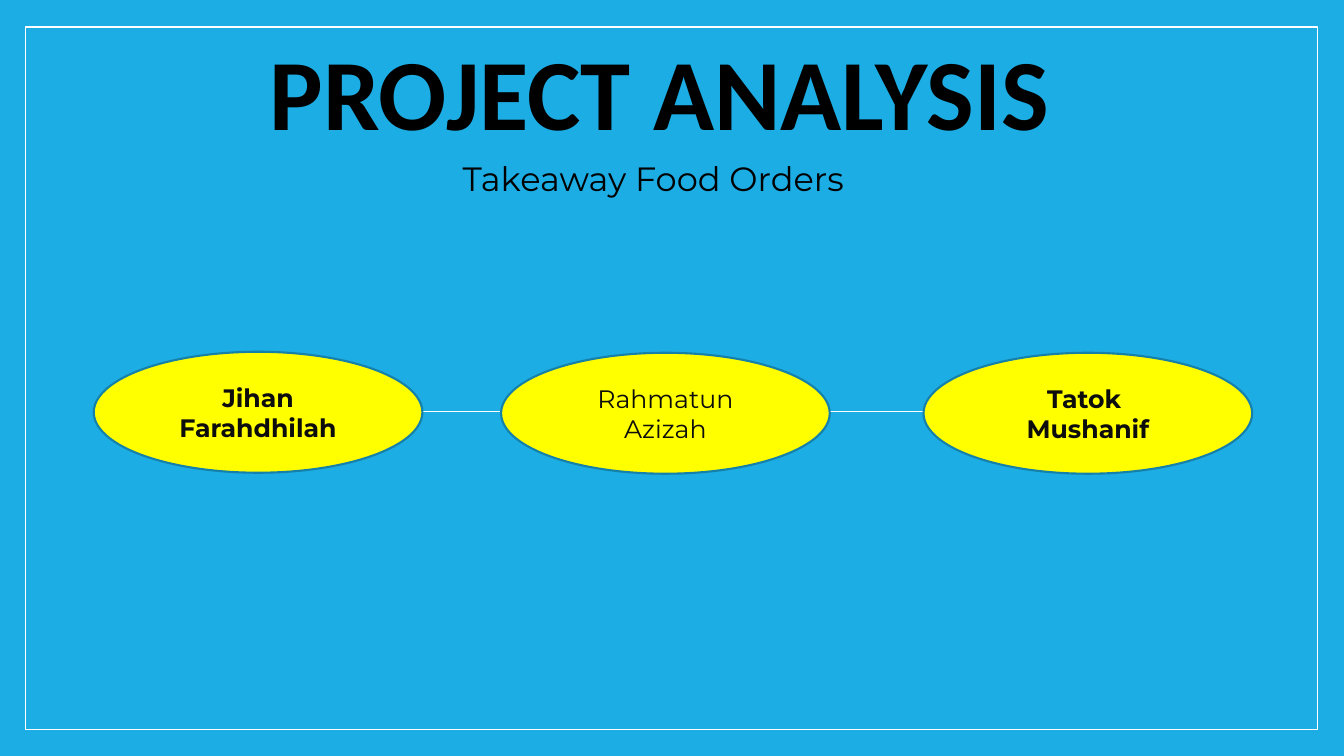
import dataclasses

import pptx
import pptx.dml.color
import pptx.enum.shapes
import pptx.enum.text
import pptx.oxml.ns
import pptx.util
from lxml import etree

Inches = pptx.util.Inches
Pt = pptx.util.Pt
RGB = pptx.dml.color.RGBColor
Kind = pptx.enum.shapes.MSO_SHAPE
Align = pptx.enum.text.PP_ALIGN
Anchor = pptx.enum.text.MSO_ANCHOR

BLUE = RGB(0x1C, 0xAD, 0xE4)
RIM = RGB(0x15, 0x80, 0xA9)
YELLOW = RGB(0xFF, 0xFF, 0x00)
WHITE = RGB(0xFF, 0xFF, 0xFF)
BLACK = RGB(0x00, 0x00, 0x00)
INK = RGB(0x0D, 0x0D, 0x0D)


@dataclasses.dataclass
class Style:
    font: dict
    para: dict
    frame: dict
    color: RGB


@dataclasses.dataclass
class Member:
    left: float
    top: float
    lines: list[str]
    bold: bool = True


@dataclasses.dataclass
class Label:
    box: tuple[float, float, float, float]
    text: str
    style: Style


TITLE = Style({"name": "Calibri", "size": Pt(72), "bold": True},
              {"alignment": Align.CENTER, "line_spacing": 0.85},
              {"word_wrap": True, "vertical_anchor": Anchor.BOTTOM}, BLACK)
TOPIC = Style({"name": "Montserrat", "size": Pt(24)},
              {"alignment": Align.LEFT},
              {"word_wrap": True, "vertical_anchor": Anchor.TOP}, BLACK)
NAME = Style({"name": "Montserrat", "size": Pt(18)},
             {"alignment": Align.CENTER},
             {"word_wrap": True, "vertical_anchor": Anchor.MIDDLE}, INK)

LABELS = [
    Label((0.66, 0.19, 11.76, 1.36), "PROJECT ANALYSIS", TITLE),
    Label((4.49, 1.52, 4.39, 0.5), "Takeaway Food Orders", TOPIC),
]
TEAM = [
    Member(0.93, 3.49, ["Jihan Farahdhilah"]),
    Member(4.97, 3.5, ["Rahmatun Azizah"], bold=False),
    Member(9.16, 3.5, ["Tatok ", "Mushanif"]),
]


def apply(target, values: dict) -> None:
    """Set each format value as an attribute of the target."""
    for key, value in values.items():
        setattr(target, key, value)


def write(shape, lines: list[str], style: Style, **extra) -> None:
    frame = shape.text_frame
    apply(frame, style.frame)
    frame.text = "\n".join(lines)
    for para in frame.paragraphs:
        apply(para, style.para)
        for run in para.runs:
            apply(run.font, {**style.font, **extra})
            run.font.color.rgb = style.color


def add_form(slide, kind: Kind, box: tuple, fill: RGB, line: RGB, width: float):
    shape = slide.shapes.add_shape(kind, *map(Inches, box))
    shape.shadow.inherit = False
    shape.fill.solid()
    shape.fill.fore_color.rgb = fill
    shape.line.color.rgb = line
    shape.line.width = Pt(width)
    return shape


def add_link(slide, start: float, end: float, y: float) -> None:
    """Draw the level line that runs behind the team."""
    link = slide.shapes.add_connector(
        pptx.enum.shapes.MSO_CONNECTOR.STRAIGHT,
        Inches(start), Inches(y), Inches(end), Inches(y))
    link.line.color.rgb = WHITE
    link.line.width = Pt(0.79)
    etree.SubElement(link.element.spPr, pptx.oxml.ns.qn("a:effectLst"))


def main() -> None:
    deck = pptx.Presentation()
    deck.slide_width, deck.slide_height = Inches(13.33), Inches(7.5)
    slide = deck.slides.add_slide(deck.slide_layouts[6])
    slide.background.fill.solid()
    slide.background.fill.fore_color.rgb = BLUE

    add_form(slide, Kind.RECTANGLE, (0.25, 0.27, 12.82, 6.97), BLUE, WHITE, 1)
    add_link(slide, 2.16, 11.16, 4.08)
    for label in LABELS:
        box = slide.shapes.add_textbox(*map(Inches, label.box))
        write(box, [label.text], label.style)
    for member in TEAM:
        oval = add_form(slide, Kind.OVAL, (member.left, member.top, 3.26, 1.2),
                        YELLOW, RIM, 1.5)
        write(oval, member.lines, NAME, bold=member.bold)

    deck.save("out.pptx")


if __name__ == "__main__":
    main()
